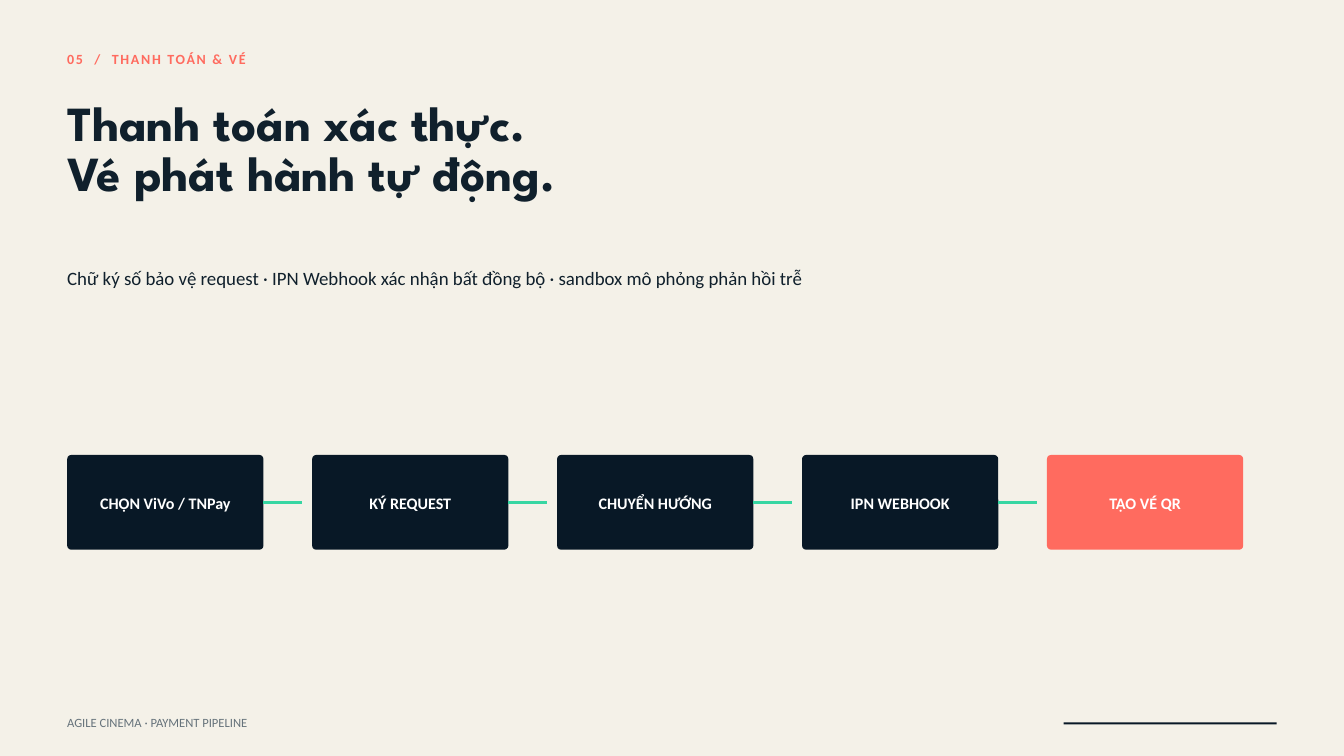
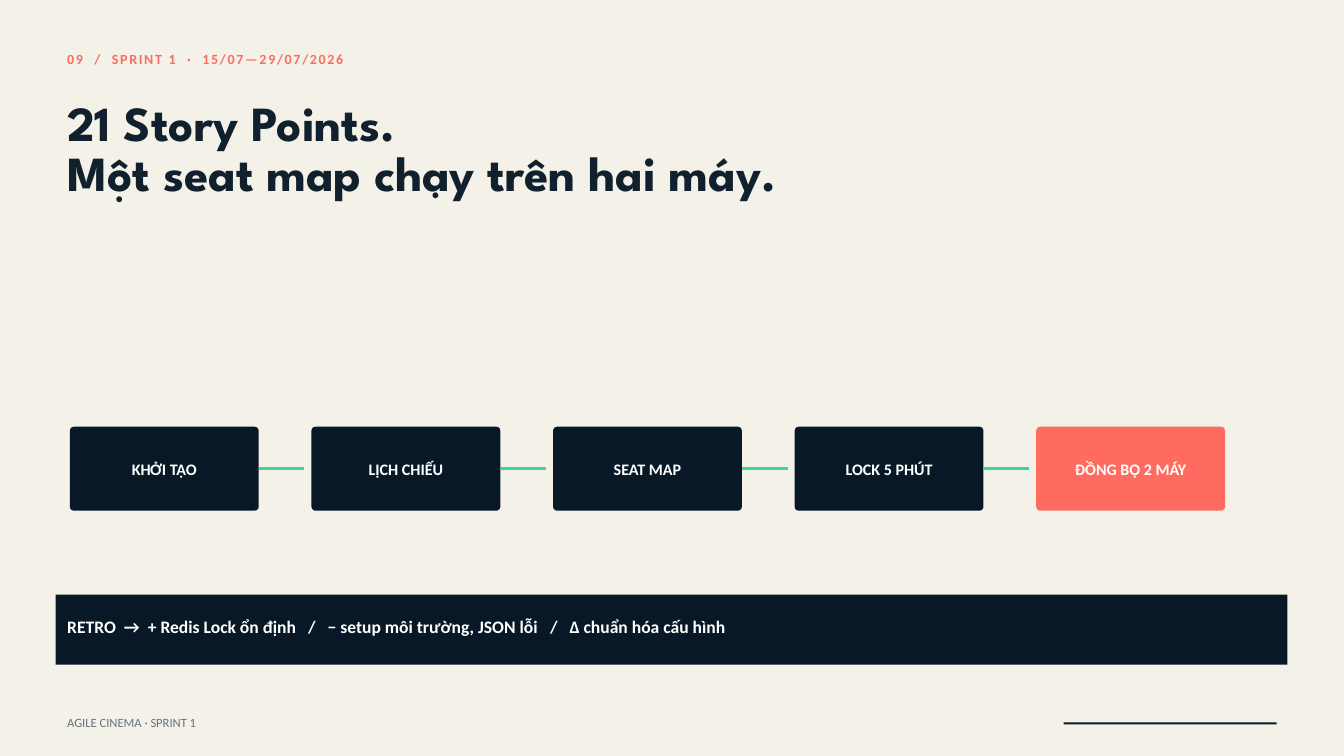
from lxml import etree
from pptx import Presentation
from pptx import util as u
from pptx.dml.color import RGBColor
from pptx.enum import shapes, text
from pptx.oxml import ns

COLUMNS, ROWS = 20, 11.25
CELL = u.Inches(1)
MARGIN = 1
SPACE_SHARE = 0.226
COLORS = {
    "paper": "F4F1E8",
    "ink": "10202C",
    "navy": "081826",
    "coral": "FF6B5F",
    "mint": "37D6A2",
    "grey": "66737B",
    "white": "FFFFFF",
}
STYLES = {
    "kicker": {"size": 15, "leading": 21, "color": "coral", "bold": True, "tracking": 1.8},
    "title": {"size": 52.5, "leading": 53.5, "color": "ink", "bold": True, "font": "League Spartan"},
    "lead": {"size": 20.2, "leading": 27.3, "color": "ink"},
    "step": {"size": 17.2, "leading": 24.1, "color": "white", "bold": True},
    "retro": {"size": 18.8, "leading": 26.2, "color": "white", "bold": True},
    "footer": {"size": 13.5, "leading": 18.9, "color": "grey"},
}


def cells(*counts):
    return [u.Emu(round(CELL * n)) for n in counts]


def rgb(name):
    return RGBColor.from_string(COLORS[name])


def add_run(p, words, style, tracking=0):
    r = p.add_run()
    r.text = words
    r.font.name = style.get("font", "Calibri")
    r.font.size = u.Pt(style["size"])
    r.font.bold = style.get("bold", False)
    r.font.color.rgb = rgb(style["color"])
    if tracking:
        r._r.get_or_add_rPr().set("spc", str(round(tracking * 100)))


def write(tf, lines, style_name, align=text.PP_ALIGN.LEFT, margins=(0, 0, 0, 0)):
    style = STYLES[style_name]
    tracking = style.get("tracking", 0)
    space = style["size"] * SPACE_SHARE + tracking
    tf.word_wrap = True
    tf.margin_left, tf.margin_top, tf.margin_right, tf.margin_bottom = cells(*margins)
    for i, pieces in enumerate(lines):
        p = tf.paragraphs[0] if i == 0 else tf.add_paragraph()
        p.alignment = align
        p.line_spacing = u.Pt(style["leading"])
        for words, gap in pieces:
            add_run(p, words, style, tracking)
            if gap:
                add_run(p, " ", style, tracking + (gap - 1) * space)


def plain(*lines):
    return [[(line, 0)] for line in lines]


def add_text(s, box, lines, style_name):
    write(s.shapes.add_textbox(*cells(*box)).text_frame, lines, style_name)


def add_block(s, box, color, kind=shapes.MSO_SHAPE.RECTANGLE):
    sp = s.shapes.add_shape(kind, *cells(*box))
    sp.shadow.inherit = False
    sp.fill.solid()
    sp.fill.fore_color.rgb = rgb(color)
    sp.line.fill.background()
    return sp


def add_step(s, box, label, color):
    sp = add_block(s, box, color, shapes.MSO_SHAPE.ROUNDED_RECTANGLE)
    sp.adjustments[0] = 0.06 / box[3]
    sp.text_frame.vertical_anchor = text.MSO_ANCHOR.MIDDLE
    write(sp.text_frame, plain(label), "step", text.PP_ALIGN.CENTER, (0.06, 0.06, 0.06, 0.09))


def add_link(s, left, y, length, weight):
    line = s.shapes.add_connector(shapes.MSO_CONNECTOR.STRAIGHT, *cells(left, y, left + length, y))
    line.line.color.rgb = rgb("mint")
    line.line.width = u.Pt(weight)
    etree.SubElement(line._element.spPr, ns.qn("a:effectLst"))


def add_flow(s, labels, left, top, width, height, pitch, link, weight):
    last = len(labels) - 1
    for i, label in enumerate(labels):
        x = left + i * pitch
        add_step(s, (x, top, width, height), label, "coral" if i == last else "navy")
        if i < last:
            add_link(s, x + width, top + height / 2, link, weight)


def add_slide(prs, kicker, title, footer):
    s = prs.slides.add_slide(prs.slide_layouts[6])
    s.background.fill.solid()
    s.background.fill.fore_color.rgb = rgb("paper")
    add_text(s, (MARGIN, 0.71, 9.38, 0.29), [kicker], "kicker")
    add_text(s, (MARGIN, 1.51, 12.5, 1.51), plain(*title), "title")
    add_text(s, (MARGIN, 10.6, 6.25, 0.24), plain(footer), "footer")
    add_block(s, (15.83, 10.75, 3.17, 0.03), "navy")
    return s


def add_payment_slide(prs):
    s = add_slide(
        prs,
        [("05", 2), ("/", 2), ("THANH TOÁN & VÉ", 0)],
        ["Thanh toán xác thực.", "Vé phát hành tự động."],
        "AGILE CINEMA · PAYMENT PIPELINE",
    )
    lead = "Chữ ký số bảo vệ request · IPN Webhook xác nhận bất đồng bộ · sandbox mô phỏng phản hồi trễ"
    add_text(s, (MARGIN, 3.93, 11.98, 0.74), plain(lead), "lead")
    steps = ["CHỌN ViVo / TNPay", "KÝ REQUEST", "CHUYỂN HƯỚNG", "IPN WEBHOOK", "TẠO VÉ QR"]
    add_flow(s, steps, left=MARGIN, top=6.77, width=2.92, height=1.41,
             pitch=3.645, link=0.57, weight=3.75)


def add_sprint_slide(prs):
    s = add_slide(
        prs,
        [("09", 2), ("/", 2), ("SPRINT 1", 2), ("·", 2), ("15/07—29/07/2026", 0)],
        ["21 Story Points.", "Một seat map chạy trên hai máy."],
        "AGILE CINEMA · SPRINT 1",
    )
    steps = ["KHỞI TẠO", "LỊCH CHIẾU", "SEAT MAP", "LOCK 5 PHÚT", "ĐỒNG BỘ 2 MÁY"]
    add_flow(s, steps, left=1.04, top=6.35, width=2.81, height=1.25,
             pitch=3.595, link=0.68, weight=3)
    add_block(s, (0.83, 8.85, 18.33, 1.04), "navy")
    retro = [
        ("RETRO", 2), ("→", 2), ("+ Redis Lock ổn định", 3), ("/", 3),
        ("− setup môi trường, JSON lỗi", 3), ("/", 3), ("Δ chuẩn hóa cấu hình", 0),
    ]
    add_text(s, (MARGIN, 9.12, 17.92, 0.35), [retro], "retro")


def main():
    prs = Presentation()
    prs.slide_width, prs.slide_height = cells(COLUMNS, ROWS)
    add_payment_slide(prs)
    add_sprint_slide(prs)
    prs.save("out.pptx")


if __name__ == "__main__":
    main()
